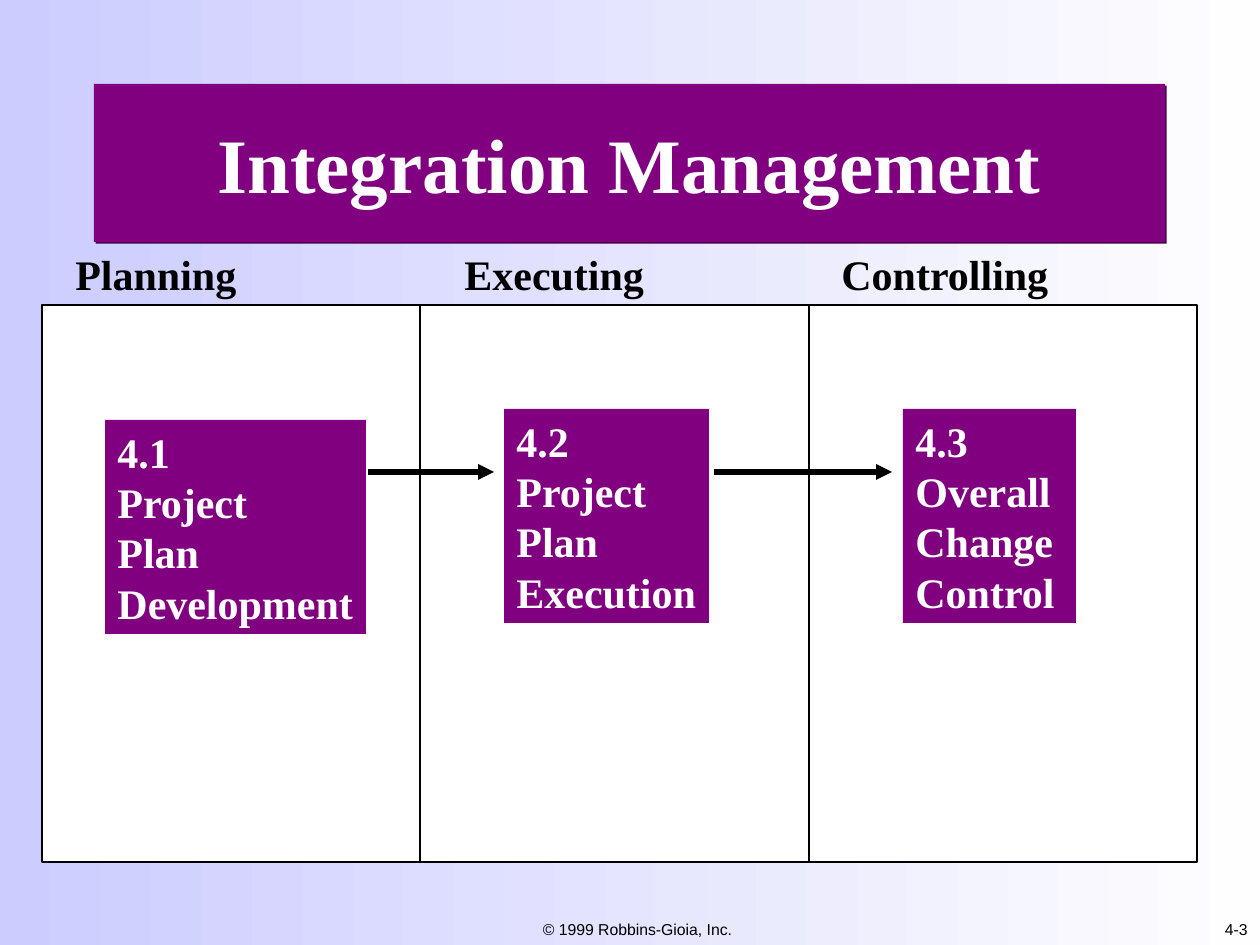
from lxml import etree
from pptx import Presentation
from pptx.dml.color import RGBColor
from pptx.enum.shapes import MSO_CONNECTOR, MSO_SHAPE
from pptx.enum.text import MSO_ANCHOR, PP_ALIGN
from pptx.oxml.ns import qn
from pptx.util import Emu, Pt

LEFT, CENTER, RIGHT = PP_ALIGN.LEFT, PP_ALIGN.CENTER, PP_ALIGN.RIGHT
TOP, MIDDLE, BOTTOM = MSO_ANCHOR.TOP, MSO_ANCHOR.MIDDLE, MSO_ANCHOR.BOTTOM
RECTANGLE, STRAIGHT = MSO_SHAPE.RECTANGLE, MSO_CONNECTOR.STRAIGHT

PX_PER_INCH = 126
SERIF, SANS = "Times New Roman", "Arial"
PURPLE, SHADOW, WHITE, BLACK = "800080", "4C004C", "FFFFFF", "000000"
PALE, LAVENDER = "FEFEFE", "CCCCFF"

PANEL = (42, 305, 1155, 557)
# Column left, heading offset and width, process box (left, top, width), process lines;
# all lengths are relative to the panel or its column.
COLUMNS = [
    (0, 21, 190, "Planning", (63, 115, 261), ["4.1", "Project", "Plan", "Development"]),
    (378, 32, 210, "Executing", (84, 104, 205), ["4.2", "Project", "Plan", "Execution"]),
    (767, 20, 238, "Controlling", (94, 104, 173), ["4.3", "Overall", "Change", "Control"]),
]
HEADING_HEIGHT, PROCESS_HEIGHT = 63, 214
ARROW_Y = 167
ARROWS = [(326, 452), (672, 850)]


def px(length):
    return Emu(round(length * 914400 / PX_PER_INCH))


def color(hex_value):
    return RGBColor.from_string(hex_value)


def write(shape, lines, size, ink, font=SERIF, bold=True, align=LEFT,
          anchor=TOP, wrap=True, spacing=None):
    frame = shape.text_frame
    frame.text = "\n".join(lines)
    frame.word_wrap = wrap
    frame.vertical_anchor = anchor
    for paragraph in frame.paragraphs:
        paragraph.alignment = align
        paragraph.line_spacing = spacing
        for run in paragraph.runs:
            run.font.name = font
            run.font.size = Pt(size)
            run.font.bold = bold
            run.font.color.rgb = color(ink)


def add_rectangle(slide, box, fill, outline=None):
    shape = slide.shapes.add_shape(RECTANGLE, *map(px, box))
    shape.shadow.inherit = False
    shape.fill.solid()
    shape.fill.fore_color.rgb = color(fill)
    if outline:
        shape.line.color.rgb = color(outline)
        shape.line.width = Pt(0.75)
    else:
        shape.line.fill.background()
    return shape


def add_line(slide, start, end, width, arrow=False):
    line = slide.shapes.add_connector(STRAIGHT, *map(px, start + end))
    line.line.color.rgb = color(BLACK)
    line.line.width = Pt(width)
    if arrow:
        etree.SubElement(line.line._get_or_add_ln(), qn("a:tailEnd"), type="triangle")
    etree.SubElement(line._element.spPr, qn("a:effectLst"))


def add_background(slide):
    fill = slide.background.fill
    fill.gradient()
    fill.gradient_angle = 180
    for stop, hex_value in zip(fill.gradient_stops, (PALE, LAVENDER)):
        stop.color.rgb = color(hex_value)


def add_title(slide, box):
    title = add_rectangle(slide, box, PURPLE)
    effects = title._element.spPr.find(qn("a:effectLst"))
    shadow = etree.SubElement(effects, qn("a:outerShdw"), dist=str(Pt(1.4)),
                              dir="2700000", algn="ctr", rotWithShape="0")
    etree.SubElement(shadow, qn("a:srgbClr"), val=SHADOW)
    write(title, ["Integration Management"], 44, WHITE, align=CENTER, anchor=MIDDLE)


def add_process_panel(slide, box):
    """Draw the panel with its column headings, process boxes and arrows."""
    left, top, _, height = box
    add_rectangle(slide, box, WHITE, BLACK)
    for offset, indent, width, name, process, lines in COLUMNS:
        column = left + offset
        if offset:
            add_line(slide, (column, top), (column, top + height), 0.75)
        heading = slide.shapes.add_textbox(*map(px, (
            column + indent, top - HEADING_HEIGHT, width, HEADING_HEIGHT)))
        write(heading, [name], 24, BLACK, spacing=Pt(28.8))

        process_left, process_top, process_width = process
        step = add_rectangle(slide, (column + process_left, top + process_top,
                                     process_width, PROCESS_HEIGHT), PURPLE)
        write(step, lines, 24, WHITE, wrap=False, spacing=Pt(28.8))
    for start, end in ARROWS:
        add_line(slide, (left + start, top + ARROW_Y), (left + end, top + ARROW_Y),
                 3, arrow=True)


def add_footer(slide, box):
    left, top, width, height = box
    half = width // 2
    entries = [("© 1999 Robbins-Gioia, Inc.", CENTER), ("4-3", RIGHT)]
    for index, (text, align) in enumerate(entries):
        entry = slide.shapes.add_textbox(
            *map(px, (left + index * half, top, half, height)))
        write(entry, [text], 9, BLACK, font=SANS, bold=False,
              align=align, anchor=BOTTOM)


def main():
    presentation = Presentation()
    presentation.slide_width, presentation.slide_height = px(1260), px(945)
    slide = presentation.slides.add_slide(presentation.slide_layouts[6])
    add_background(slide)
    add_footer(slide, (430, 882, 830, 63))
    add_title(slide, (94, 84, 1071, 158))
    add_process_panel(slide, PANEL)
    presentation.save("out.pptx")


if __name__ == "__main__":
    main()
